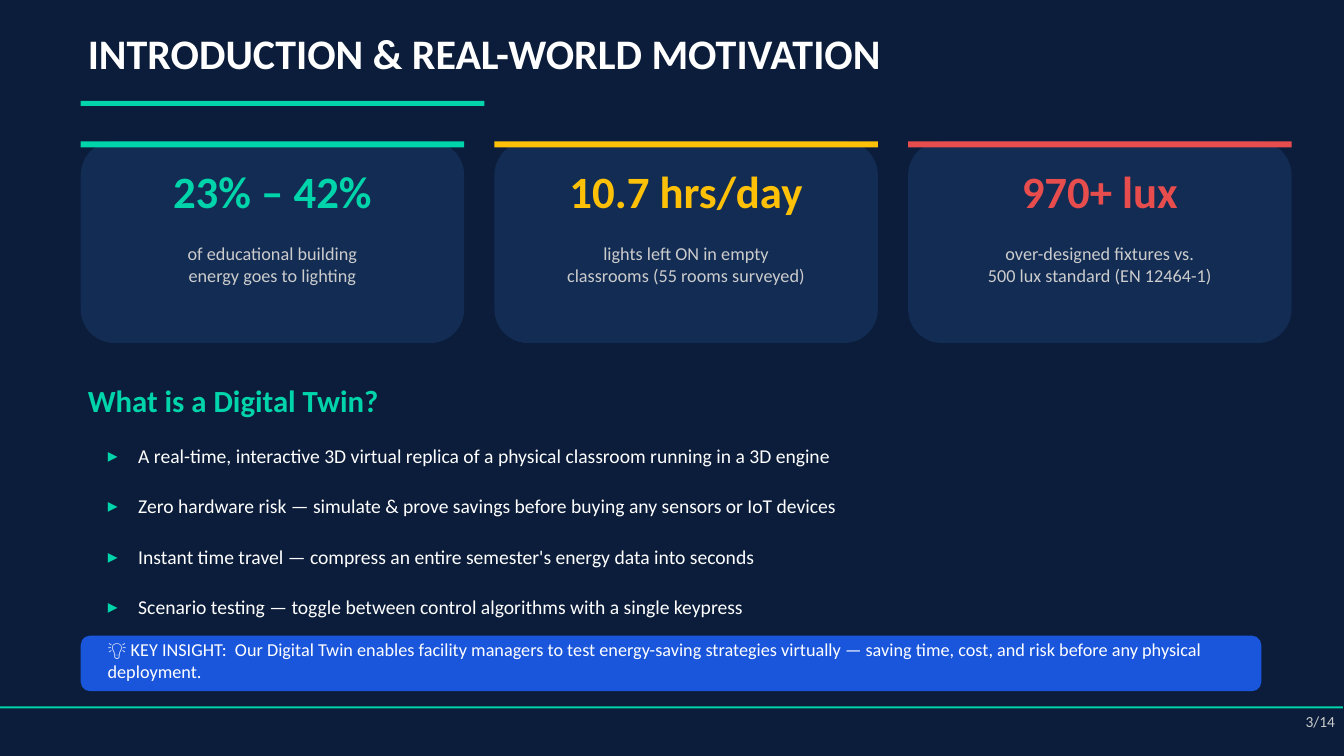
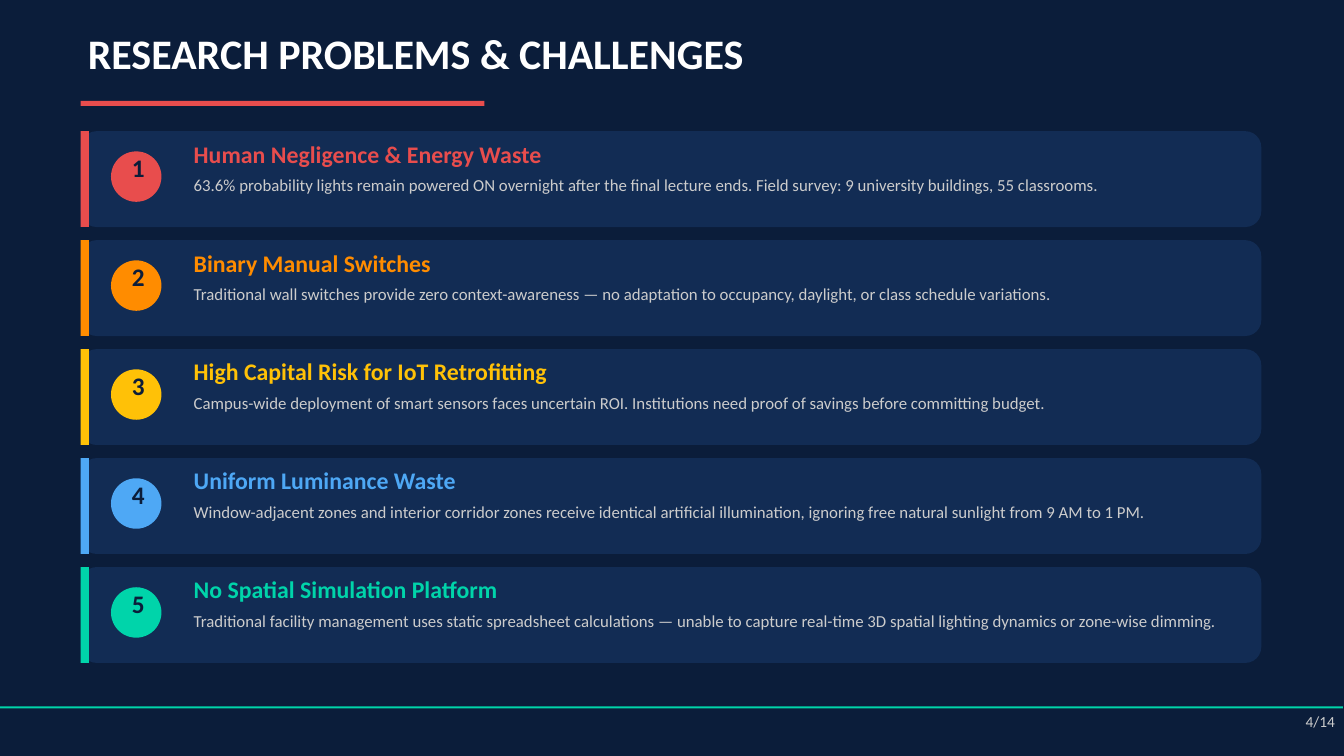
"""Build two slides on the motivation and problems behind a classroom digital twin."""
from dataclasses import dataclass

from lxml.etree import SubElement
from pptx import Presentation
from pptx.dml.color import RGBColor
from pptx.enum.shapes import MSO_SHAPE
from pptx.enum.text import MSO_ANCHOR, MSO_AUTO_SIZE, PP_ALIGN
from pptx.oxml.ns import qn
from pptx.util import Inches, Pt


@dataclass(frozen=True)
class Theme:
    font: str = "Calibri"
    navy: str = "0B1D3A"
    panel: str = "122C54"
    blue: str = "1A56DB"
    white: str = "FFFFFF"
    gray: str = "CCCCCC"
    teal: str = "00D4AA"
    gold: str = "FFC107"
    red: str = "E84D4D"
    orange: str = "FF8C00"
    sky: str = "4EA8F5"
    title: float = 45
    value: float = 48
    head: float = 33
    digit: float = 27
    topic: float = 25.5
    item: float = 21
    label: float = 19.5
    detail: float = 18
    page: float = 16.5
    leading: float = 1.2


T = Theme()
PX = 13730
EDGE = 80
WIDE = 1170
TOTAL = 14

INTRO = "INTRODUCTION & REAL-WORLD MOTIVATION"
STATS = [
    ("23% – 42%", ["of educational building", "energy goes to lighting"], T.teal),
    ("10.7 hrs/day", ["lights left ON in empty", "classrooms (55 rooms surveyed)"], T.gold),
    ("970+ lux", ["over-designed fixtures vs.", "500 lux standard (EN 12464-1)"], T.red),
]
QUESTION = "What is a Digital Twin?"
POINTS = [
    "A real-time, interactive 3D virtual replica of a physical classroom running in a 3D engine",
    "Zero hardware risk — simulate & prove savings before buying any sensors or IoT devices",
    "Instant time travel — compress an entire semester's energy data into seconds",
    "Scenario testing — toggle between control algorithms with a single keypress",
]
INSIGHT = (
    "💡 KEY INSIGHT:  Our Digital Twin enables facility managers to test energy-saving "
    "strategies virtually — saving time, cost, and risk before any physical deployment."
)
ISSUES = "RESEARCH PROBLEMS & CHALLENGES"
PROBLEMS = [
    ("Human Negligence & Energy Waste",
     "63.6% probability lights remain powered ON overnight after the final lecture ends. "
     "Field survey: 9 university buildings, 55 classrooms.", T.red),
    ("Binary Manual Switches",
     "Traditional wall switches provide zero context-awareness — no adaptation to "
     "occupancy, daylight, or class schedule variations.", T.orange),
    ("High Capital Risk for IoT Retrofitting",
     "Campus-wide deployment of smart sensors faces uncertain ROI. Institutions need "
     "proof of savings before committing budget.", T.gold),
    ("Uniform Luminance Waste",
     "Window-adjacent zones and interior corridor zones receive identical artificial "
     "illumination, ignoring free natural sunlight from 9 AM to 1 PM.", T.sky),
    ("No Spatial Simulation Platform",
     "Traditional facility management uses static spreadsheet calculations — unable to "
     "capture real-time 3D spatial lighting dynamics or zone-wise dimming.", T.teal),
]


def scale(*box):
    return [n * PX for n in box]


def place(shape, *box):
    shape.left, shape.top, shape.width, shape.height = scale(*box)


def bullet(para, indent):
    props = para._p.get_or_add_pPr()
    props.set("marL", str(indent * PX))
    props.set("indent", str(-indent * PX))
    color = SubElement(props, qn("a:buClr"))
    SubElement(color, qn("a:srgbClr"), val=T.teal)
    SubElement(props, qn("a:buFont"), typeface=T.font)
    SubElement(props, qn("a:buChar"), char="▸")


def write(shape, lines, size, color, bold=False, align=PP_ALIGN.LEFT,
          inset=0, gap=0, indent=0):
    frame = shape.text_frame
    frame.word_wrap = True
    frame.auto_size = MSO_AUTO_SIZE.NONE
    frame.vertical_anchor = MSO_ANCHOR.TOP
    frame.margin_left = frame.margin_right = inset * PX
    frame.margin_top = frame.margin_bottom = 0
    for i, line in enumerate(lines):
        para = frame.add_paragraph() if i else frame.paragraphs[0]
        if indent:
            bullet(para, indent)
        para.alignment = align
        para.line_spacing = Pt(size * T.leading)
        para.space_before = Pt(gap if i else 0)
        para.space_after = Pt(0)
        run = para.add_run()
        run.text = line
        font = run.font
        font.name, font.size, font.bold = T.font, Pt(size), bold
        font.color.rgb = RGBColor.from_string(color)


def label(slide, box, lines, size, color, **style):
    write(slide.shapes.add_textbox(*scale(*box)), lines, size, color, **style)


def block(slide, box, color, kind=MSO_SHAPE.RECTANGLE):
    shape = slide.shapes.add_shape(kind, *scale(*box))
    shape.shadow.inherit = False
    shape.fill.solid()
    shape.fill.fore_color.rgb = RGBColor.from_string(color)
    shape.line.fill.background()
    return shape


def start(deck, layout, title, color, page):
    slide = deck.slides.add_slide(deck.slide_layouts[layout])
    place(slide.shapes.title, 87, 27, 986, 70)
    write(slide.shapes.title, [title], T.title, T.white, bold=True)
    block(slide, (EDGE, 100, 400, 5), color)
    block(slide, (0, 700, deck.slide_width // PX, 2), T.teal)
    label(slide, (1236, 706, 87, 35), [f"{page}/{TOTAL}"], T.page, T.gray,
          align=PP_ALIGN.RIGHT)
    return slide


def motive(deck):
    slide = start(deck, 1, INTRO, T.teal, 3)
    wide, gap, top = 380, 30, 140
    for i, (value, lines, color) in enumerate(STATS):
        left = EDGE + i * (wide + gap)
        block(slide, (left, top, wide, 200), T.panel, MSO_SHAPE.ROUNDED_RECTANGLE)
        block(slide, (left, top, wide, 6), color)
        label(slide, (left + 36, top + 22, wide - 72, 69), [value], T.value, color,
              bold=True, align=PP_ALIGN.CENTER)
        label(slide, (left + 26, top + 100, wide - 52, 77), lines, T.label, T.gray,
              align=PP_ALIGN.CENTER)
    label(slide, (87, 378, 587, 48), [QUESTION], T.head, T.teal, bold=True)
    body = slide.placeholders[1]
    place(body, 107, 440, 1116, 190)
    write(body, POINTS, T.item, T.white, gap=28.8, indent=30)
    banner = block(slide, (EDGE, 630, WIDE, 55), T.blue, MSO_SHAPE.ROUNDED_RECTANGLE)
    write(banner, [INSIGHT], T.label, T.white, inset=24)


def issues(deck):
    slide = start(deck, 5, ISSUES, T.red, 4)
    high, gap = 95, 13
    for i, (topic, detail, color) in enumerate(PROBLEMS):
        top = 130 + i * (high + gap)
        block(slide, (EDGE, top, WIDE, high), T.panel, MSO_SHAPE.ROUNDED_RECTANGLE)
        block(slide, (EDGE, top, 8, high), color)
        block(slide, (110, top + 20, 50, 50), color, MSO_SHAPE.OVAL)
        label(slide, (119, top + 21, 36, 43), [str(i + 1)], T.digit, T.navy,
              bold=True, align=PP_ALIGN.CENTER)
        label(slide, (192, top + 8, 986, 32), [topic], T.topic, color, bold=True)
        label(slide, (192, top + 43, 1026, 46), [detail], T.detail, T.gray)


def main():
    deck = Presentation()
    deck.slide_width, deck.slide_height = Inches(20), Inches(11.25)
    back = deck.slide_master.background.fill
    back.solid()
    back.fore_color.rgb = RGBColor.from_string(T.navy)
    motive(deck)
    issues(deck)
    deck.save("out.pptx")


if __name__ == "__main__":
    main()
